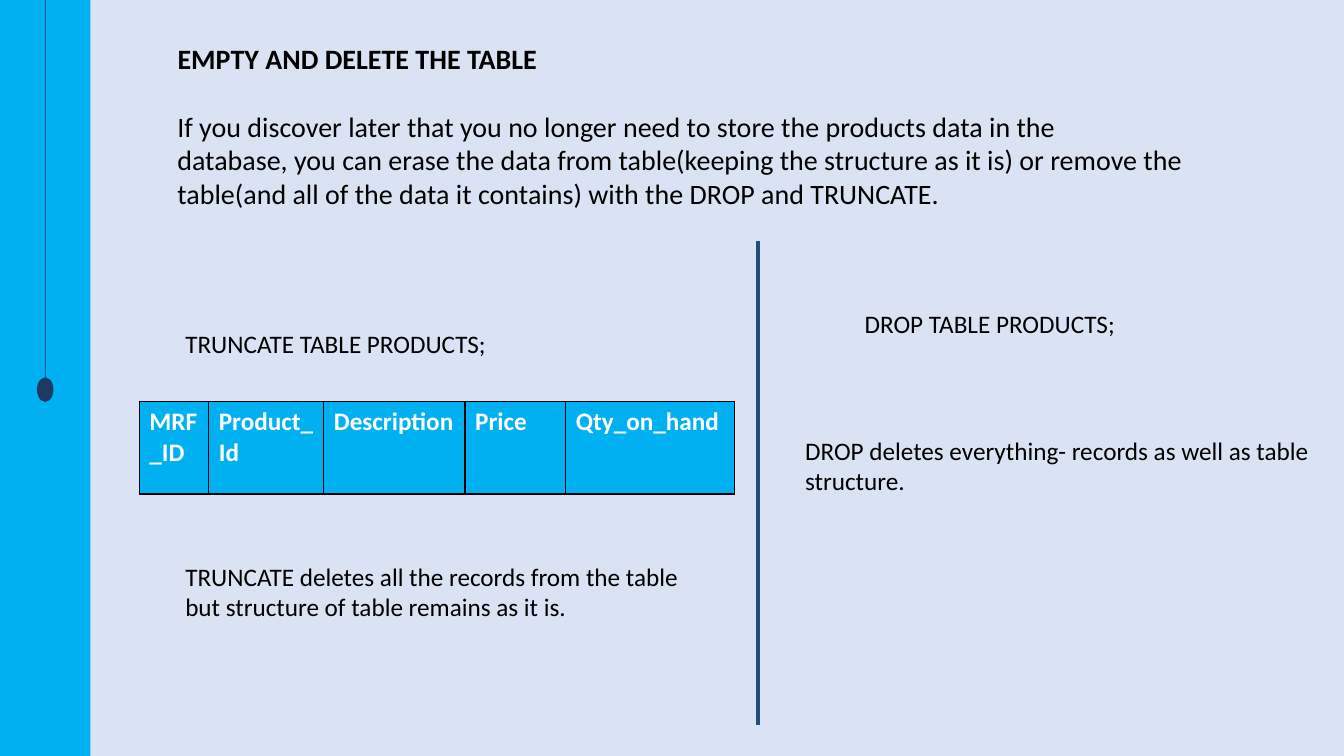
from dataclasses import dataclass

from lxml import etree
from pptx import Presentation
from pptx import util as u
from pptx.dml.color import RGBColor
from pptx.enum import shapes, text
from pptx.oxml.ns import qn

Cm, Pt = u.Cm, u.Pt


@dataclass(frozen=True)
class Theme:
    """Font, colours and type sizes of the slide."""
    font: str = "Calibri"
    background: str = "DAE3F3"
    accent: str = "00B0F0"
    navy: str = "203864"
    divider: str = "1F4E79"
    ink: str = "000000"
    paper: str = "FFFFFF"
    lead: int = 20
    body: int = 18


THEME = Theme()


def rgb(value):
    """Turn a hex string into a colour."""
    return RGBColor.from_string(value)


def write(tf, content, size=THEME.body, color=THEME.ink, bold=False):
    """Fill a text frame, one paragraph per line of content."""
    tf.word_wrap = True
    tf.vertical_anchor = text.MSO_ANCHOR.TOP
    for i, line in enumerate(content.split("\n")):
        p = tf.paragraphs[0] if i == 0 else tf.add_paragraph()
        p.alignment = text.PP_ALIGN.LEFT
        r = p.add_run()
        r.text = line
        r.font.name, r.font.size, r.font.bold = THEME.font, Pt(size), bold
        r.font.color.rgb = rgb(color)


def add_title(s, content, left, top, width, height):
    """Place and fill the title placeholder."""
    sp = s.shapes.title
    sp.left, sp.top, sp.width, sp.height = map(Cm, (left, top, width, height))
    sp.text_frame.auto_size = text.MSO_AUTO_SIZE.NONE
    write(sp.text_frame, content, size=THEME.lead, bold=True)


def add_text(s, content, left, top, width, height, **fmt):
    """Add a wrapping text box."""
    sp = s.shapes.add_textbox(*map(Cm, (left, top, width, height)))
    write(sp.text_frame, content, **fmt)


def add_solid(s, kind, left, top, width, height, color):
    """Add a plain filled shape."""
    sp = s.shapes.add_shape(kind, *map(Cm, (left, top, width, height)))
    sp.shadow.inherit = False
    sp.fill.solid()
    sp.fill.fore_color.rgb = rgb(color)
    sp.line.fill.background()
    return sp


def add_vertical(s, x, top, bottom, color, weight):
    """Add a vertical line without a shadow."""
    line = s.shapes.add_connector(
        shapes.MSO_CONNECTOR.STRAIGHT, Cm(x), Cm(top), Cm(x), Cm(bottom))
    line.line.color.rgb = rgb(color)
    line.line.width = Pt(weight)
    etree.SubElement(line._element.spPr, qn("a:effectLst"))
    return line


def add_borders(cell, color, weight):
    """Draw a line on all four sides of a cell."""
    tcPr = cell._tc.get_or_add_tcPr()
    for i, side in enumerate(("a:lnL", "a:lnR", "a:lnT", "a:lnB")):
        ln = etree.Element(qn(side), w=str(Pt(weight)))
        fill = etree.SubElement(ln, qn("a:solidFill"))
        etree.SubElement(fill, qn("a:srgbClr"), val=color)
        tcPr.insert(i, ln)


def add_header_row(s, columns, left, top, height):
    """Add a one-row table from (name, width) pairs."""
    total = sum(width for _, width in columns)
    table = s.shapes.add_table(
        1, len(columns), *map(Cm, (left, top, total, height))).table
    for i, (name, width) in enumerate(columns):
        table.columns[i].width = Cm(width)
        cell = table.cell(0, i)
        cell.fill.solid()
        cell.fill.fore_color.rgb = rgb(THEME.accent)
        write(cell.text_frame, name, color=THEME.paper, bold=True)
        add_borders(cell, THEME.ink, 1)


def add_side_band(s):
    """Add the left band with its hanging pendulum."""
    add_solid(s, shapes.MSO_SHAPE.RECTANGLE, 0, 0, 2.28, 19.05, THEME.accent)
    cord = add_vertical(s, 1.14, 0, 9.53, THEME.navy, 0.5)
    bob = add_solid(s, shapes.MSO_SHAPE.OVAL, 0.95, 9.53, 0.38, 0.58, THEME.navy)
    bob.line.color.rgb = rgb(THEME.navy)
    bob.line.width = Pt(1)
    cord.end_connect(bob, 0)


def main():
    """Build and save the slide."""
    prs = Presentation()
    prs.slide_width, prs.slide_height = Cm(33.87), Cm(19.05)
    s = prs.slides.add_slide(prs.slide_layouts[5])
    s.background.fill.solid()
    s.background.fill.fore_color.rgb = rgb(THEME.background)

    add_side_band(s)
    add_title(s, "EMPTY AND DELETE THE TABLE", 4.22, 0.91, 27.69, 1.1)
    add_text(s, "If you discover later that you no longer need to store the "
                "products data in the\n"
                "database, you can erase the data from table(keeping the "
                "structure as it is) or remove the table(and all of the data "
                "it contains) with the DROP and TRUNCATE.",
             4.22, 2.63, 27.69, 2.82, size=THEME.lead)
    add_vertical(s, 19.1, 6.07, 18.26, THEME.divider, 3)

    add_text(s, "TRUNCATE TABLE PRODUCTS;", 4.42, 8.15, 10.52, 1.02)
    columns = [("MRF_ID", 1.75), ("Product_Id", 2.9), ("Description", 3.56),
               ("Price", 2.54), ("Qty_on_hand", 4.24)]
    add_header_row(s, columns, 3.51, 10.11, 2.34)
    add_text(s, "TRUNCATE deletes all the records from the table but "
                "structure of table remains as it is.",
             4.42, 14.02, 13.36, 1.8)

    add_text(s, "DROP TABLE PRODUCTS;", 21.54, 7.65, 10.34, 1.02)
    add_text(s, "DROP deletes everything- records as well as table structure.",
             20.04, 10.85, 13.36, 1.8)
    prs.save("out.pptx")


if __name__ == "__main__":
    main()
